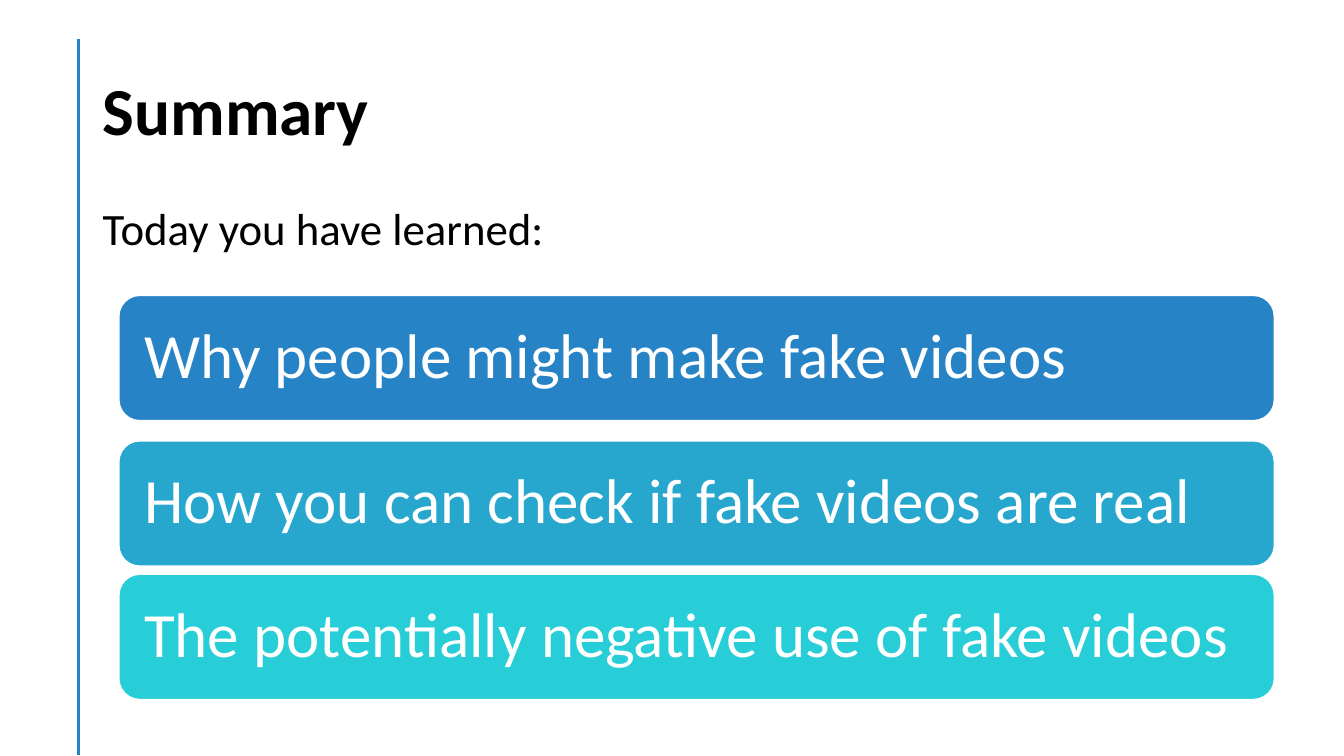
import pptx
import pptx.util
import pptx.dml.color
import pptx.enum.shapes
import pptx.enum.text
import pptx.oxml.ns
import lxml.etree

WIDE, HIGH = pptx.util.Inches(13.33), pptx.util.Inches(7.5)
FONT = "Calibri"
HUES = {
    "text": "000000",
    "white": "FFFFFF",
    "rule": "2683C6",
    "why": "2683C6",
    "how": "27A7CE",
    "use": "27CED7",
}
# Each bar: top as a share of the list box, colour, wording
BARS = [
    (0, "why", "Why people might make fake videos"),
    (0.36, "how", "How you can check if fake videos are real"),
    (0.69, "use", "The potentially negative use of fake videos"),
]
BAR_SHARE = 0.31


def hue(name):
    return pptx.dml.color.RGBColor.from_string(HUES[name])


def area(left, top, width, height):
    """Turn percentages of the slide into a box in EMU."""
    return (int(WIDE * left / 100), int(HIGH * top / 100),
            int(WIDE * width / 100), int(HIGH * height / 100))


def write(frame, text, size, color, bold=False, middle=True):
    anchor = pptx.enum.text.MSO_ANCHOR
    frame.word_wrap = True
    frame.vertical_anchor = anchor.MIDDLE if middle else anchor.TOP
    para = frame.paragraphs[0]
    para.alignment = pptx.enum.text.PP_ALIGN.LEFT
    para.line_spacing = 0.9
    run = para.add_run()
    run.text = text
    run.font.name = FONT
    run.font.size = pptx.util.Pt(size)
    run.font.bold = bold
    run.font.color.rgb = hue(color)


def add_rule(slide, box):
    left, top, width, height = box
    rule = slide.shapes.add_connector(
        pptx.enum.shapes.MSO_CONNECTOR.STRAIGHT,
        left, top, left + width, top + height)
    rule.line.color.rgb = hue("rule")
    rule.line.width = pptx.util.Pt(2)
    props = rule._element.spPr
    lxml.etree.SubElement(props, pptx.oxml.ns.qn("a:effectLst"))


def add_text(slide, box, text, size, **style):
    frame = slide.shapes.add_textbox(*box).text_frame
    write(frame, text, size, "text", **style)


def add_bars(slide, box):
    left, top, width, height = box
    inset = pptx.util.Inches(0.19)
    for share, color, text in BARS:
        bar = slide.shapes.add_shape(
            pptx.enum.shapes.MSO_SHAPE.ROUNDED_RECTANGLE,
            left, top + int(height * share), width, int(height * BAR_SHARE))
        bar.shadow.inherit = False
        bar.fill.solid()
        bar.fill.fore_color.rgb = hue(color)
        bar.line.color.rgb = hue("white")
        bar.line.width = pptx.util.Pt(1)
        frame = bar.text_frame
        frame.margin_left = frame.margin_right = inset
        frame.margin_top = frame.margin_bottom = inset
        write(frame, text, 45, "white")


def main():
    deck = pptx.Presentation()
    deck.slide_width, deck.slide_height = WIDE, HIGH
    slide = deck.slides.add_slide(deck.slide_layouts[6])
    add_rule(slide, area(5.85, 5.2, 0, 94.67))
    add_text(slide, area(6.9, 5.33, 86.27, 19.33), "Summary", 48, bold=True)
    add_text(slide, area(6.9, 26.67, 86.27, 10), "Today you have learned:",
             32, middle=False)
    add_bars(slide, area(8.85, 39.07, 85.97, 53.46))
    deck.save("out.pptx")


if __name__ == "__main__":
    main()
